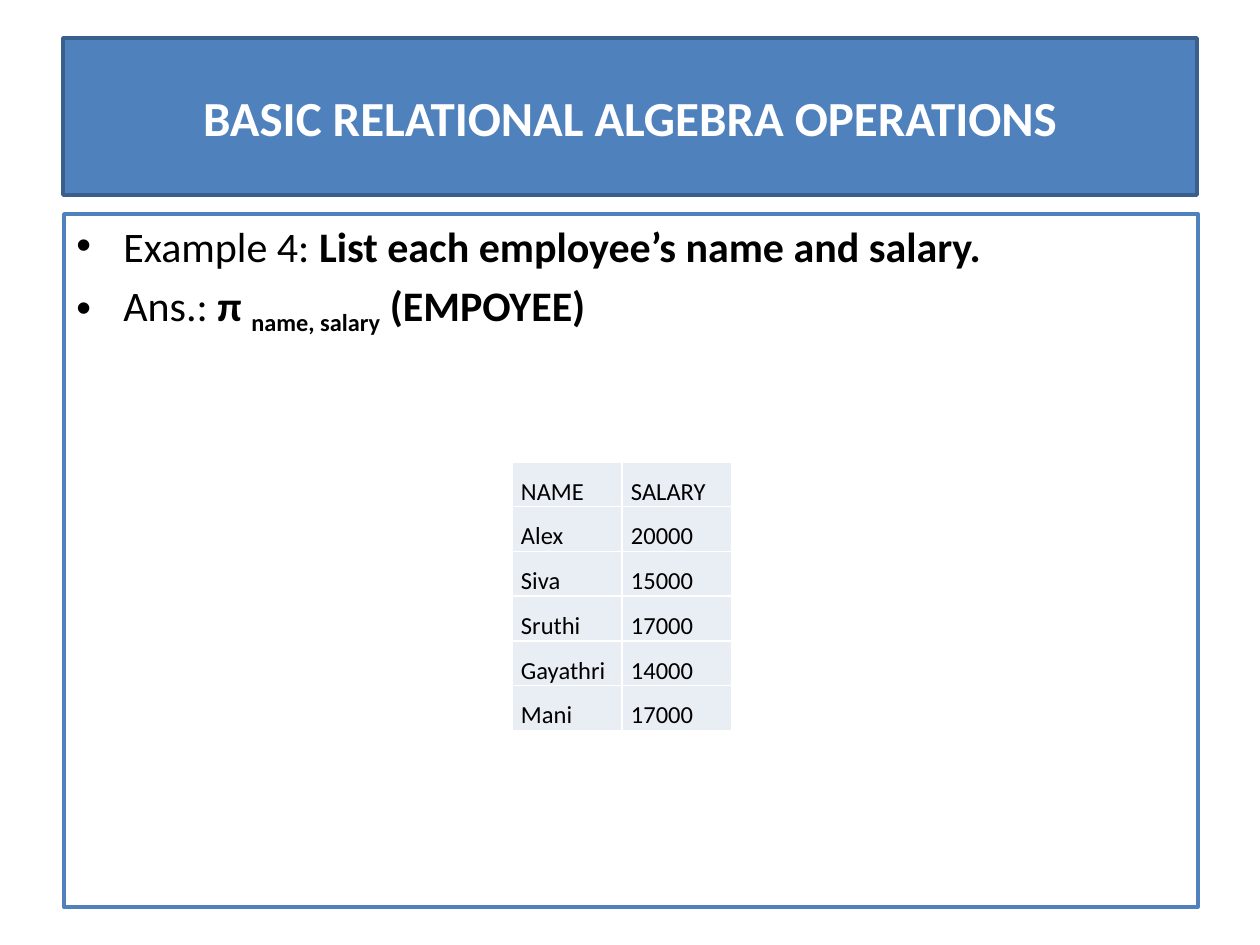
import lxml.etree
import pptx
import pptx.dml.color
import pptx.enum.shapes
import pptx.enum.text
import pptx.oxml.ns
import pptx.util
from dataclasses import dataclass

EMU_PER_PX = 914400 / 126
ALIGN = pptx.enum.text.PP_ALIGN
ANCHOR = pptx.enum.text.MSO_ANCHOR


@dataclass(frozen=True)
class Theme:
    font: str = "Calibri"
    accent: str = "4F81BD"
    title_line: str = "3A5F8C"
    white: str = "FFFFFF"
    text: str = "000000"
    cell: str = "E9EDF4"
    title_size: int = 28
    body_size: int = 24
    table_size: int = 14
    outline: int = 2


THEME = Theme()

BULLETS = [
    [("Example 4:", {}), (" List each employee’s name and salary.", {"bold": True})],
    [
        ("Ans.: ", {}),
        ("π ", {"bold": True}),
        ("name, salary", {"bold": True, "subscript": True}),
        (" (EMPOYEE)", {"bold": True}),
    ],
]

SALARIES = [
    ("NAME", "SALARY"),
    ("Alex", "20000"),
    ("Siva", "15000"),
    ("Sruthi", "17000"),
    ("Gayathri", "14000"),
    ("Mani", "17000"),
]


def px(length):
    return pptx.util.Emu(round(length * EMU_PER_PX))


def rgb(value):
    return pptx.dml.color.RGBColor.from_string(value)


def apply(target, values):
    for name, value in values.items():
        setattr(target, name, value)


def add_run(paragraph, text, size, color, bold=False, subscript=False):
    run = paragraph.add_run()
    run.text = text
    apply(run.font, {"name": THEME.font, "size": pptx.util.Pt(size), "bold": bold})
    run.font.color.rgb = rgb(color)
    if subscript:
        run.font._element.set("baseline", "-25000")


def paint(shape, fill, line):
    shape.fill.solid()
    shape.fill.fore_color.rgb = rgb(fill)
    shape.line.color.rgb = rgb(line)
    shape.line.width = pptx.util.Pt(THEME.outline)


def add_bullet(paragraph, indent):
    properties = paragraph._p.get_or_add_pPr()
    properties.set("marL", str(indent))
    properties.set("indent", str(-indent))
    for tag, name, value in (("a:buFont", "typeface", "Arial"), ("a:buChar", "char", "•")):
        element = lxml.etree.SubElement(properties, pptx.oxml.ns.qn(tag))
        element.set(name, value)


def add_title(slide, text, left, top, width, height):
    title = slide.shapes.title
    apply(title, {"left": px(left), "top": px(top), "width": px(width), "height": px(height)})
    paint(title, THEME.accent, THEME.title_line)
    title.text_frame.vertical_anchor = ANCHOR.MIDDLE
    paragraph = title.text_frame.paragraphs[0]
    paragraph.alignment = ALIGN.CENTER
    add_run(paragraph, text, THEME.title_size, THEME.white, bold=True)


def add_bullet_box(slide, bullets, left, top, width, height):
    box = slide.shapes.add_shape(
        pptx.enum.shapes.MSO_SHAPE.RECTANGLE, px(left), px(top), px(width), px(height)
    )
    box.shadow.inherit = False
    paint(box, THEME.white, THEME.accent)
    frame = box.text_frame
    apply(frame, {"word_wrap": True, "vertical_anchor": ANCHOR.TOP})
    for index, runs in enumerate(bullets):
        paragraph = frame.add_paragraph() if index else frame.paragraphs[0]
        paragraph.alignment = ALIGN.LEFT
        if index:
            paragraph.space_before = pptx.util.Pt(5)
        add_bullet(paragraph, px(47))
        for text, style in runs:
            add_run(paragraph, text, THEME.body_size, THEME.text, **style)


def add_cell_borders(cell, color, width):
    properties = cell._tc.get_or_add_tcPr()
    for side in "LRTB":
        line = lxml.etree.SubElement(properties, pptx.oxml.ns.qn(f"a:ln{side}"))
        line.set("w", str(pptx.util.Pt(width)))
        fill = lxml.etree.SubElement(line, pptx.oxml.ns.qn("a:solidFill"))
        lxml.etree.SubElement(fill, pptx.oxml.ns.qn("a:srgbClr")).set("val", color)


def fill_cell(cell, text):
    apply(cell, {"margin_left": px(9), "margin_right": px(9), "margin_top": 0, "margin_bottom": 0})
    add_cell_borders(cell, THEME.white, 1)
    cell.fill.solid()
    cell.fill.fore_color.rgb = rgb(THEME.cell)
    paragraph = cell.text_frame.paragraphs[0]
    apply(paragraph, {"alignment": ALIGN.JUSTIFY, "line_spacing": 1.5})
    add_run(paragraph, text, THEME.table_size, THEME.text)


def add_table(slide, rows, left, top, column_width, row_height):
    columns = len(rows[0])
    table = slide.shapes.add_table(
        len(rows), columns, px(left), px(top),
        px(columns * column_width), px(len(rows) * row_height),
    ).table
    apply(table, {"first_row": False, "horz_banding": False})
    for row_index, row in enumerate(rows):
        for column_index, text in enumerate(row):
            fill_cell(table.cell(row_index, column_index), text)


def main():
    presentation = pptx.Presentation()
    apply(presentation, {"slide_width": px(1260), "slide_height": px(945)})
    slide = presentation.slides.add_slide(presentation.slide_layouts[5])
    add_title(slide, "BASIC RELATIONAL ALGEBRA OPERATIONS", 63, 38, 1134, 157)
    add_bullet_box(slide, BULLETS, 64, 214, 1134, 693)
    add_table(slide, SALARIES, 512, 462, 110, 44)
    presentation.save("out.pptx")


if __name__ == "__main__":
    main()
